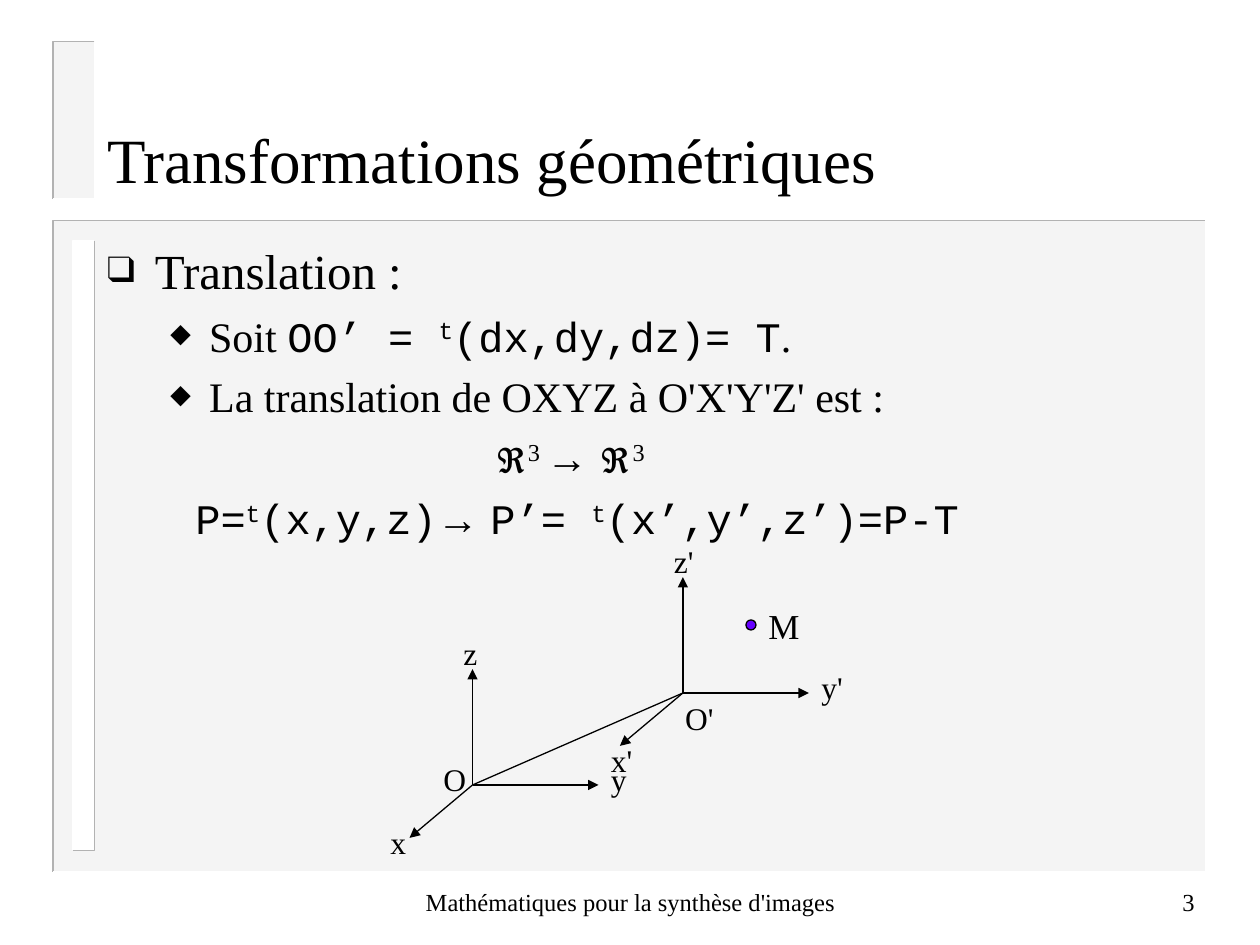
import pptx
import pptx.util
import pptx.dml.color
import pptx.enum.shapes
import pptx.enum.text
import pptx.oxml.ns
from lxml import etree

Inches, Pt = pptx.util.Inches, pptx.util.Pt
RGBColor = pptx.dml.color.RGBColor
Align = pptx.enum.text.PP_ALIGN
Anchor = pptx.enum.text.MSO_ANCHOR
AutoSize = pptx.enum.text.MSO_AUTO_SIZE
Shape = pptx.enum.shapes.MSO_SHAPE
qn = pptx.oxml.ns.qn

BLACK = RGBColor(0x00, 0x00, 0x00)
WHITE = RGBColor(0xFF, 0xFF, 0xFF)
PANEL = RGBColor(0xEA, 0xEA, 0xEA)
EDGE = RGBColor(0xB2, 0xB2, 0xB2)
VIOLET = RGBColor(0x66, 0x00, 0xFF)

SERIF, MONO, SANS = "Times New Roman", "Courier New", "Arial"


def add_outline(page, points, color):
    (start, *others) = [(Inches(x), Inches(y)) for x, y in points]
    builder = page.shapes.build_freeform(*start, scale=1.0)
    builder.add_line_segments(others, close=False)
    outline = builder.convert_to_shape()
    outline.shadow.inherit = False
    outline.fill.background()
    outline.line.color.rgb = color
    outline.line.width = Pt(1)


def add_panel(page, left, top, width, height, fill, upper, lower, alpha=None):
    """Filled rectangle with bevelled edges: upper-left and lower-right colours."""
    panel = page.shapes.add_shape(
        Shape.RECTANGLE, Inches(left), Inches(top), Inches(width), Inches(height))
    panel.shadow.inherit = False
    panel.fill.solid()
    panel.fill.fore_color.rgb = fill
    panel.line.fill.background()
    if alpha:
        color = panel._element.spPr.find(qn("a:solidFill"))[0]
        etree.SubElement(color, qn("a:alpha"), val=str(alpha * 1000))
    right, bottom = left + width, top + height
    add_outline(page, [(right, top), (left, top), (left, bottom)], upper)
    add_outline(page, [(right, top), (right, bottom), (left, bottom)], lower)


def add_label(page, text, left, top, width, height=0.4, size=18,
              align=Align.LEFT, anchor=Anchor.TOP, grow=True):
    box = page.shapes.add_textbox(
        Inches(left), Inches(top), Inches(width), Inches(height))
    frame = box.text_frame
    frame.word_wrap = False
    frame.auto_size = AutoSize.SHAPE_TO_FIT_TEXT if grow else AutoSize.NONE
    frame.vertical_anchor = anchor
    para = frame.paragraphs[0]
    para.text = text
    para.alignment = align
    style_paragraph(para, size, SERIF)


def style_paragraph(para, size, name=None):
    para.font.size = Pt(size)
    para.font.color.rgb = BLACK
    if name:
        para.font.name = name


def set_bullet(para, margin, indent, symbol=None):
    properties = para._p.get_or_add_pPr()
    properties.set("marL", str(Inches(margin)))
    properties.set("indent", str(Inches(indent)))
    if symbol is None:
        etree.SubElement(properties, qn("a:buNone"))
        return
    color = etree.SubElement(properties, qn("a:buClr"))
    etree.SubElement(color, qn("a:srgbClr"), val=str(BLACK))
    etree.SubElement(properties, qn("a:buSzPct"), val="75000")
    etree.SubElement(properties, qn("a:buFont"), typeface=SERIF)
    etree.SubElement(properties, qn("a:buChar"), char=symbol)


def place_placeholder(page, holder, left, top, width, height, anchor):
    holder.left, holder.top = Inches(left), Inches(top)
    holder.width, holder.height = Inches(width), Inches(height)
    page.shapes._spTree.append(holder._element)  # in front of the panels
    frame = holder.text_frame
    frame.word_wrap = True
    frame.auto_size = AutoSize.NONE
    frame.vertical_anchor = anchor
    return frame


def fill_title(page, left, top, width, height):
    frame = place_placeholder(
        page, page.shapes.title, left, top, width, height, Anchor.MIDDLE)
    para = frame.paragraphs[0]
    para.text = "Transformations géométriques"
    para.alignment = Align.LEFT
    style_paragraph(para, 36, SERIF)


def fill_body(page, left, top, width, height):
    frame = place_placeholder(
        page, page.placeholders[1], left, top, width, height, Anchor.TOP)
    # level, size, left margin, indent, bullet, spans (text, font, superscript)
    lines = [
        (0, 28, 0.38, -0.38, "❑", [("Translation :", SERIF, False)]),
        (1, 24, 0.81, -0.31, "⬥", [
            ("Soit ", SERIF, False), ("OO’ = ", MONO, False), ("t", MONO, True),
            ("(dx,dy,dz)= T", MONO, False), (".", SERIF, False)]),
        (1, 24, 0.81, -0.31, "⬥", [
            ("La translation de OXYZ à O'X'Y'Z' est :", SERIF, False)]),
        (1, 24, 3.08, 0, None, [
            ("ℜ", SANS, False), ("3 ", SERIF, True),
            ("→ ℜ", SANS, False), ("3", SERIF, True)]),
        (1, 24, 0.7, 0, None, [
            ("P=", MONO, False), ("t", MONO, True), ("(x,y,z)", MONO, False),
            ("→ ", SANS, False), ("P’= ", MONO, False), ("t", MONO, True),
            ("(x’,y’,z’)=P-T", MONO, False)]),
    ]
    for index, (level, size, margin, indent, symbol, spans) in enumerate(lines):
        para = frame.add_paragraph() if index else frame.paragraphs[0]
        para.level = level
        set_bullet(para, margin, indent, symbol)
        para.space_before = Pt(6 if index else 0)
        style_paragraph(para, size)
        for text, name, raised in spans:
            span = para.add_run()
            span.text = text
            span.font.name = name
            if raised:
                span._r.get_or_add_rPr().set("baseline", "30000")


def add_line(page, start, end, arrow=True):
    line = page.shapes.add_connector(
        pptx.enum.shapes.MSO_CONNECTOR.STRAIGHT,
        *(Inches(value) for value in (*start, *end)))
    line.line.color.rgb = BLACK
    line.line.width = Pt(0.75)
    if arrow:
        etree.SubElement(line.line._get_or_add_ln(), qn("a:tailEnd"), type="triangle")
    etree.SubElement(line._element.spPr, qn("a:effectLst"))


def add_axes(page, x, y, prime, x_label, origin_label):
    """Three axes from (x, y); the last two arguments are label offsets."""
    for dx, dy in [(1, 0), (0, -0.92), (-0.5, 0.42)]:
        add_line(page, (x, y), (x + dx, y + dy))
    labels = [("x", x_label, 0.32), ("y", (1, -0.25), 0.32),
              ("z", (-0.17, -1.25), 0.31), ("O", origin_label, 0.38)]
    for text, (dx, dy), width in labels:
        extra = 0.05 if prime else 0
        add_label(page, text + prime, x + dx, y + dy, width + extra)


def add_diagram(page, left, top):
    first = (left + 0.75, top + 1.98)
    second = (left + 2.42, top + 1.25)
    add_axes(page, *first, "", (-0.75, 0.25), (-0.33, -0.25))
    add_axes(page, *second, "'", (-0.67, 0.33), (-0.08, 0))
    add_line(page, first, second, arrow=False)
    # Point M
    dot = page.shapes.add_shape(
        Shape.OVAL, Inches(left + 2.92), Inches(top + 0.67), Inches(0.08), Inches(0.08))
    dot.shadow.inherit = False
    dot.fill.solid()
    dot.fill.fore_color.rgb = VIOLET
    dot.line.color.rgb = BLACK
    dot.line.width = Pt(0.75)
    add_label(page, "M", left + 3, top + 0.5, 0.45, 0.44, size=20)


def add_footer(page, top, height):
    for text, left, width, align in [
            ("Mathématiques pour la synthèse d'images", 3.42, 3.17, Align.CENTER),
            ("3", 7.5, 2.08, Align.RIGHT)]:
        add_label(page, text, left, top, width, height, 14, align, Anchor.MIDDLE, False)


def main():
    deck = pptx.Presentation()
    deck.slide_width, deck.slide_height = Inches(10), Inches(7.5)
    page = deck.slides.add_slide(deck.slide_layouts[1])
    # Background panels
    add_panel(page, 0.42, 1.75, 9.15, 5.17, PANEL, EDGE, WHITE, alpha=50)
    add_panel(page, 0.58, 1.91, 0.17, 4.84, WHITE, WHITE, EDGE)
    add_panel(page, 0.42, 0.33, 0.33, 1.25, PANEL, EDGE, WHITE, alpha=50)
    # Content
    fill_title(page, 0.75, 0.89, 8.5, 0.73)
    fill_body(page, 0.75, 1.86, 8.83, 5.06)
    add_diagram(page, 3, 4.25)
    add_footer(page, 6.91, 0.5)
    deck.save("out.pptx")


if __name__ == "__main__":
    main()
